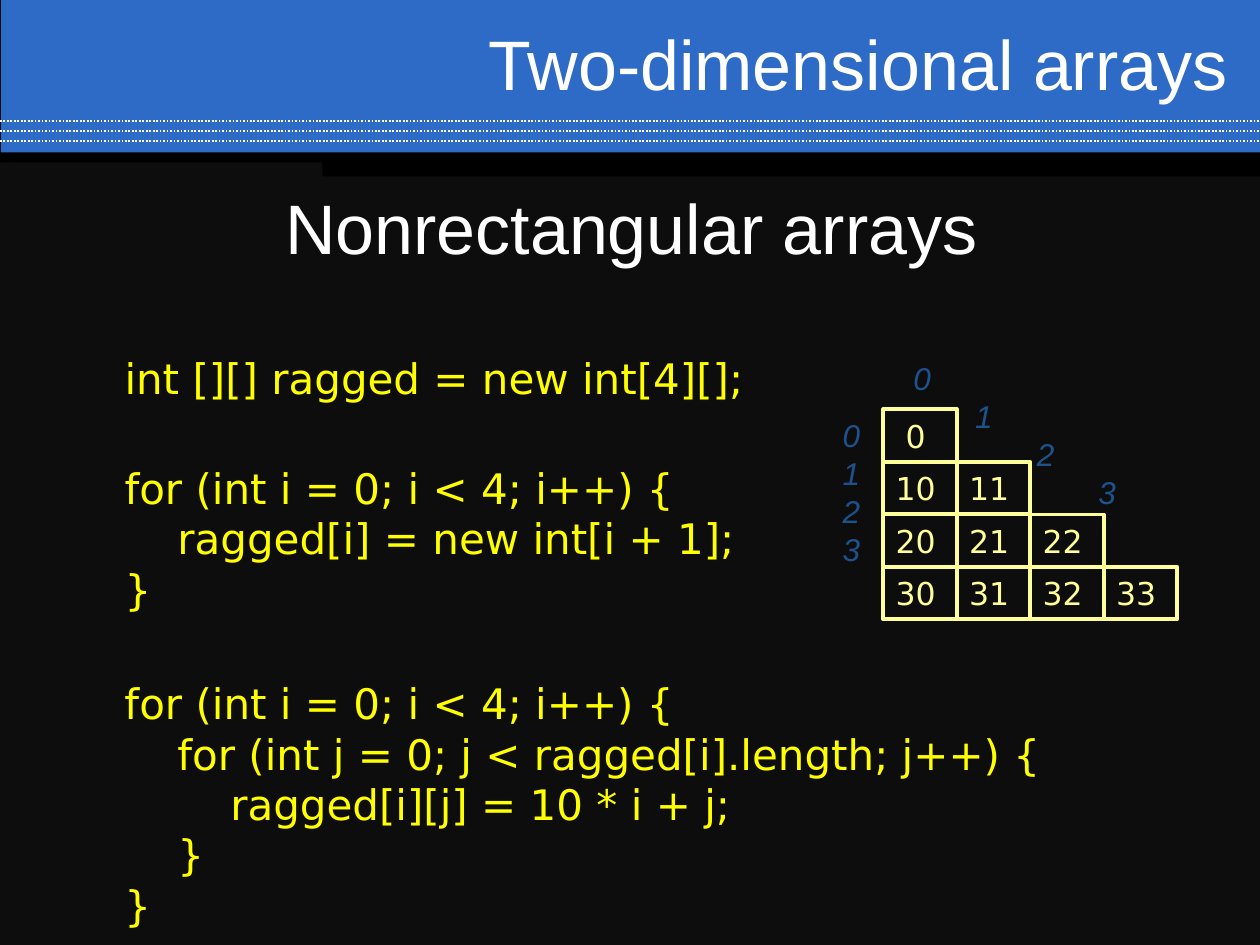
from dataclasses import dataclass

from lxml.etree import SubElement
from pptx import Presentation
from pptx.dml.color import RGBColor
from pptx.enum.dml import MSO_LINE
from pptx.enum.shapes import MSO_CONNECTOR, MSO_SHAPE
from pptx.enum.text import MSO_ANCHOR, MSO_AUTO_SIZE, PP_ALIGN
from pptx.oxml.ns import qn
from pptx.slide import Slide
from pptx.text.text import TextFrame
from pptx.util import Inches, Pt

BACKGROUND = RGBColor(0x0D, 0x0D, 0x0D)
BAND_BLUE = RGBColor(0x2D, 0x6B, 0xC7)
BLACK = RGBColor(0, 0, 0)
WHITE = RGBColor(0xFF, 0xFF, 0xFF)
CODE_YELLOW = RGBColor(0xFF, 0xFF, 0)
CELL_YELLOW = RGBColor(0xFF, 0xFF, 0x99)
INDEX_BLUE = RGBColor(0x1D, 0x52, 0x8D)

ARRAY_SIZE = 4
GRID_LEFT, GRID_TOP = 7.01, 3.25
CELL_WIDTH, CELL_HEIGHT = 1.75 / 3, 1.25 / 3


@dataclass(frozen=True)
class Box:
    left: float
    top: float
    width: float
    height: float

    def lengths(self) -> list[Inches]:
        return [Inches(v) for v in (self.left, self.top, self.width, self.height)]


@dataclass(frozen=True)
class Style:
    font: str
    size: float
    color: RGBColor
    italic: bool = False


@dataclass(frozen=True)
class Line:
    text: str
    indent: float = 0
    space_before: float = 0


HEADING = Style("Arial", 40, WHITE)
CODE = Style("DejaVu Sans", 24, CODE_YELLOW)
CELL = Style("DejaVu Sans", 18, CELL_YELLOW)
INDEX = Style("Arial", 18, INDEX_BLUE, italic=True)

CODE_MARGIN, CODE_STEP = 0.38, 0.42
CODE_PITCH, INDEX_PITCH = 28.8, 21.7


def code_line(text: str, depth: int = 0, space_before: float = 0) -> Line:
    return Line(text, CODE_MARGIN + depth * CODE_STEP, space_before)


ALLOCATION = [
    code_line("int [][] ragged = new int[4][];"),
    code_line("for (int i = 0; i < 4; i++) {", space_before=34),
    code_line("ragged[i] = new int[i + 1];", 1),
    code_line("}"),
]
FILLING = [
    code_line("for (int i = 0; i < 4; i++) {"),
    code_line("for (int j = 0; j < ragged[i].length; j++) {", 1),
    code_line("ragged[i][j] = 10 * i + j;", 2),
    code_line("}", 1),
    code_line("}"),
]
ROW_INDICES = [Line(str(i)) for i in range(ARRAY_SIZE)]
COLUMN_INDICES = [Line(str(j), 0.14 + 0.49 * j) for j in range(ARRAY_SIZE)]


def format_text(frame: TextFrame, style: Style, align: PP_ALIGN = PP_ALIGN.LEFT) -> None:
    frame.word_wrap = True
    frame.auto_size = MSO_AUTO_SIZE.NONE
    for paragraph in frame.paragraphs:
        paragraph.alignment = align
        for run in paragraph.runs:
            run.font.name = style.font
            run.font.size = Pt(style.size)
            run.font.italic = style.italic
            run.font.color.rgb = style.color


def add_bar(slide: Slide, box: Box, color: RGBColor) -> None:
    bar = slide.shapes.add_shape(MSO_SHAPE.RECTANGLE, *box.lengths())
    bar.shadow.inherit = False
    bar.fill.solid()
    bar.fill.fore_color.rgb = color
    bar.line.fill.background()


def add_dotted_rule(slide: Slide, y: float) -> None:
    rule = slide.shapes.add_connector(
        MSO_CONNECTOR.STRAIGHT, Inches(0), Inches(y), Inches(10), Inches(y)
    )
    rule.line.color.rgb = WHITE
    rule.line.width = Pt(1)
    rule.line.dash_style = MSO_LINE.ROUND_DOT
    SubElement(rule.element.spPr, qn("a:effectLst"))


def add_heading(slide: Slide, box: Box, text: str) -> None:
    frame = slide.shapes.add_textbox(*box.lengths()).text_frame
    frame.text = text
    frame.vertical_anchor = MSO_ANCHOR.MIDDLE
    format_text(frame, HEADING, PP_ALIGN.CENTER)


def add_lines(slide: Slide, box: Box, lines: list[Line], style: Style, pitch: float) -> None:
    """Add a text box with one paragraph per line, each with its own indent."""
    frame = slide.shapes.add_textbox(*box.lengths()).text_frame
    frame.text = "\n".join(line.text for line in lines)
    format_text(frame, style)
    for paragraph, line in zip(frame.paragraphs, lines):
        paragraph.line_spacing = Pt(pitch)
        paragraph.space_before = Pt(line.space_before)
        properties = paragraph._p.get_or_add_pPr()
        properties.set("marL", str(Inches(line.indent)))
        properties.set("indent", "0")


def add_cell(slide: Slide, row: int, column: int) -> None:
    box = Box(
        GRID_LEFT + column * CELL_WIDTH, GRID_TOP + row * CELL_HEIGHT, CELL_WIDTH, CELL_HEIGHT
    )
    cell = slide.shapes.add_shape(MSO_SHAPE.RECTANGLE, *box.lengths())
    cell.shadow.inherit = False
    cell.fill.background()
    cell.line.color.rgb = CELL_YELLOW
    cell.line.width = Pt(2.25)
    cell.text_frame.text = f"{10 * row + column:>2}"
    cell.text_frame.vertical_anchor = MSO_ANCHOR.MIDDLE
    cell.text_frame.margin_right = 0
    format_text(cell.text_frame, CELL)


def add_title(slide: Slide, box: Box, text: str) -> None:
    """Fill the title placeholder and bring it in front of the band."""
    title = slide.shapes.title
    title.left, title.top, title.width, title.height = box.lengths()
    title.text_frame.text = text
    title.text_frame.vertical_anchor = MSO_ANCHOR.MIDDLE
    title.text_frame.margin_right = Inches(0.26)
    format_text(title.text_frame, HEADING, PP_ALIGN.RIGHT)
    title.element.getparent().append(title.element)


def main() -> None:
    presentation = Presentation()
    presentation.slide_width, presentation.slide_height = Inches(10), Inches(7.5)
    slide = presentation.slides.add_slide(presentation.slide_layouts[5])
    slide.background.fill.solid()
    slide.background.fill.fore_color.rgb = BACKGROUND

    add_bar(slide, Box(0.01, 0, 9.99, 1.23), BAND_BLUE)
    for y in (0.96, 1.04, 1.12):
        add_dotted_rule(slide, y)
    add_bar(slide, Box(0, 1.21, 10, 0.08), BLACK)
    add_bar(slide, Box(2.56, 1.24, 7.44, 0.16), BLACK)

    add_title(slide, Box(1.5, 0, 8.5, 1), "Two-dimensional arrays")
    add_heading(slide, Box(0.76, 1.17, 8.5, 1.25), "Nonrectangular arrays")
    add_lines(slide, Box(0.51, 2.75, 5.92, 2.25), ALLOCATION, CODE, CODE_PITCH)
    add_lines(slide, Box(0.51, 5.33, 8.5, 2.17), FILLING, CODE, CODE_PITCH)

    add_lines(slide, Box(6.59, GRID_TOP, 0.5, 1.7), ROW_INDICES, INDEX, INDEX_PITCH)
    add_lines(slide, Box(GRID_LEFT, 2.8, 2.42, 1.7), COLUMN_INDICES, INDEX, INDEX_PITCH)
    for row in range(ARRAY_SIZE):
        for column in range(row + 1):
            add_cell(slide, row, column)

    presentation.save("out.pptx")


if __name__ == "__main__":
    main()
